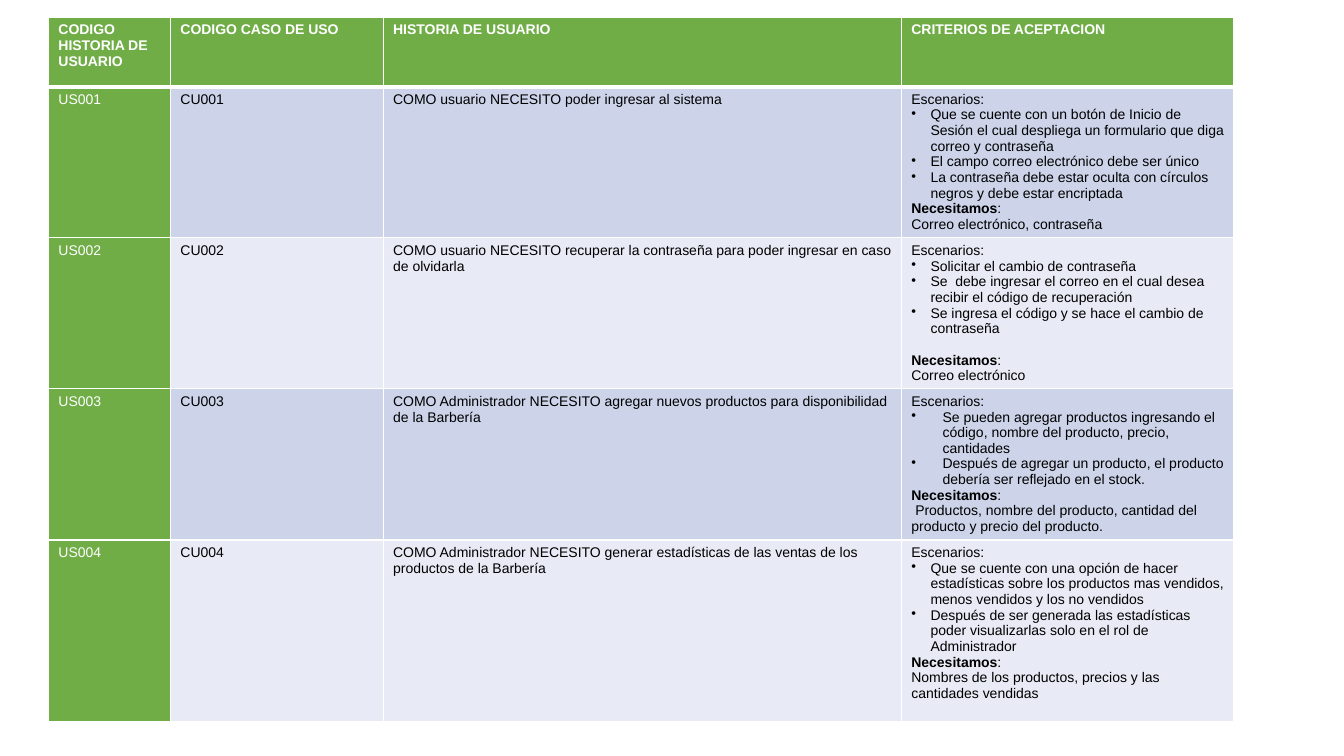
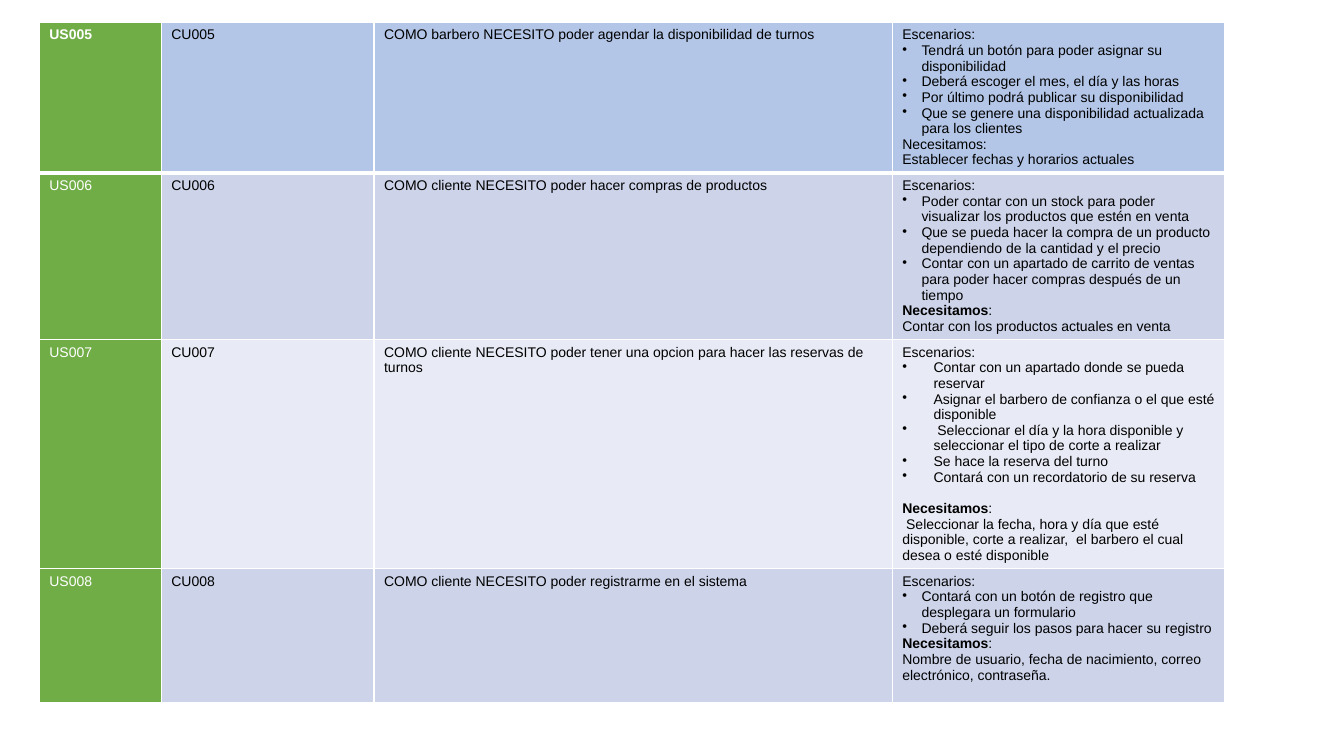
from dataclasses import dataclass
from lxml.etree import SubElement
from pptx import Presentation
from pptx.dml.color import RGBColor
from pptx.oxml import parse_xml
from pptx.oxml.ns import nsdecls, qn
from pptx.util import Inches, Pt

GREEN = RGBColor(0x70, 0xAD, 0x47)
SKY = RGBColor(0xB3, 0xC6, 0xE7)
BLUE = RGBColor(0xCD, 0xD4, 0xEA)
PALE = RGBColor(0xE8, 0xEB, 0xF5)
WHITE = RGBColor(0xFF, 0xFF, 0xFF)
BLACK = RGBColor(0, 0, 0)

FONT, SIZE, LINE = "Arial", Pt(10), Pt(11.2)
THIN, THICK = 1, 3
NARROW, WIDE = 0.19, 0.31
COLS = (1.21, 2.11, 5.14, 3.3)  # relative column widths
HEADS = ("CODIGO HISTORIA DE USUARIO", "CODIGO CASO DE USO",
         "HISTORIA DE USUARIO", "CRITERIOS DE ACEPTACION")


@dataclass
class Story:
    code: str
    goal: str
    steps: tuple
    needs: str
    height: float  # relative row height
    indent: float = NARROW
    gap: bool = False
    strong: bool = True


ACCESS = (
    Story("001", "COMO usuario NECESITO poder ingresar al sistema",
          ("Que se cuente con un botón de Inicio de Sesión el cual despliega "
           "un formulario que diga correo y contraseña",
           "El campo correo electrónico debe ser único",
           "La contraseña debe estar oculta con círculos negros y debe estar "
           "encriptada"),
          "Correo electrónico, contraseña", 1.5),
    Story("002", "COMO usuario NECESITO recuperar la contraseña para poder "
          "ingresar en caso de olvidarla",
          ("Solicitar el cambio de contraseña",
           "Se  debe ingresar el correo en el cual desea recibir el código "
           "de recuperación",
           "Se ingresa el código y se hace el cambio de contraseña"),
          "Correo electrónico", 1.49, gap=True),
    Story("003", "COMO Administrador NECESITO agregar nuevos productos para "
          "disponibilidad de la Barbería",
          ("Se pueden agregar productos ingresando el código, nombre del "
           "producto, precio, cantidades",
           "Después de agregar un producto, el producto debería ser "
           "reflejado en el stock."),
          " Productos, nombre del producto, cantidad del producto y precio "
          "del producto.", 1.5, indent=WIDE),
    Story("004", "COMO Administrador NECESITO generar estadísticas de las "
          "ventas de los productos de la Barbería",
          ("Que se cuente con una opción de hacer estadísticas sobre los "
           "productos mas vendidos, menos vendidos y los no vendidos",
           "Después de ser generada las estadísticas poder visualizarlas "
           "solo en el rol de Administrador"),
          "Nombres de los productos, precios y las cantidades vendidas", 1.8),
)

BOOKING = (
    Story("005", "COMO barbero NECESITO poder agendar la disponibilidad de "
          "turnos",
          ("Tendrá un botón para poder asignar su disponibilidad",
           "Deberá escoger el mes, el día y las horas",
           "Por último podrá publicar su disponibilidad",
           "Que se genere una disponibilidad actualizada para los clientes"),
          "Establecer fechas y horarios actuales", 1.49, strong=False),
    Story("006", "COMO cliente NECESITO poder hacer compras de productos",
          ("Poder contar con un stock para poder visualizar los productos "
           "que estén en venta",
           "Que se pueda hacer la compra de un producto dependiendo de la "
           "cantidad y el precio",
           "Contar con un apartado de carrito de ventas para poder hacer "
           "compras después de un tiempo"),
          "Contar con los productos actuales en venta", 1.65),
    Story("007", "COMO cliente NECESITO poder tener una opcion para hacer "
          "las reservas de turnos",
          ("Contar con un apartado donde se pueda reservar",
           "Asignar el barbero de confianza o el que esté disponible",
           " Seleccionar el día y la hora disponible y seleccionar el tipo "
           "de corte a realizar",
           "Se hace la reserva del turno",
           "Contará con un recordatorio de su reserva"),
          " Seleccionar la fecha, hora y día que esté disponible, corte a "
          "realizar,  el barbero el cual desea o esté disponible",
          2.27, indent=WIDE, gap=True),
    Story("008", "COMO cliente NECESITO poder registrarme en el sistema",
          ("Contará con un botón de registro que desplegara un formulario",
           "Deberá seguir los pasos para hacer su registro"),
          "Nombre de usuario, fecha de nacimiento, correo electrónico, "
          "contraseña.", 1.33),
)


def style(para, color=BLACK, bold=False):
    font = para.font
    font.name, font.size, font.bold = FONT, SIZE, bold
    font.color.rgb = color


def write(cell, text, color=BLACK, bold=False):
    para = cell.text_frame.paragraphs[0]
    para.text = text
    style(para, color, bold)


def append(cell, text=""):
    para = cell.text_frame.add_paragraph()
    para.text = text
    style(para)
    return para


def bullet(para, indent):
    props = para._p.get_or_add_pPr()
    props.set("marL", str(Inches(indent)))
    props.set("indent", str(-Inches(indent)))
    mark = SubElement(props, qn("a:buChar"))
    mark.set("char", "•")
    # Bullet marks come before the default run properties
    props.insert(props.index(props.find(qn("a:defRPr"))), mark)


def paint(cell, color, top, bottom):
    """Fill a cell and rule its four sides in white."""
    cell.fill.solid()
    cell.fill.fore_color.rgb = color
    props = cell._tc.get_or_add_tcPr()
    sides = zip("LRTB", (THIN, THIN, top, bottom))
    for place, (side, width) in enumerate(sides):
        props.insert(place, parse_xml(
            f'<a:ln{side} {nsdecls("a")} w="{Pt(width)}"><a:solidFill>'
            f'<a:srgbClr val="{WHITE}"/></a:solidFill></a:ln{side}>'))


def criteria(cell, story):
    write(cell, "Escenarios:")
    for step in story.steps:
        bullet(append(cell, step), story.indent)
    label = append(cell)
    for text, bold in (("Necesitamos", story.strong), (":", False)):
        run = label.add_run()
        run.text, run.font.bold = text, bold
    if story.gap:
        label.space_before = LINE
    append(cell, story.needs)


def fill_row(cells, story, first):
    write(cells[0], "US" + story.code, WHITE, first)
    write(cells[1], "CU" + story.code)
    write(cells[2], story.goal)
    criteria(cells[3], story)


def grid(slide, box, stories, head=None):
    """Place a story table in box, with an optional heading row."""
    left, top, width, height = box
    parts = [story.height for story in stories]
    if head:
        parts.insert(0, head)
    table = slide.shapes.add_table(len(parts), len(COLS), *box).table
    for column, part in zip(table.columns, COLS):
        column.width = int(width * part / sum(COLS))
    for row, part in zip(table.rows, parts):
        row.height = int(height * part / sum(parts))

    # Text
    rows = [list(row.cells) for row in table.rows]
    if head:
        for cell, text in zip(rows[0], HEADS):
            write(cell, text, WHITE, True)
    body = rows[1:] if head else rows
    for cells, story in zip(body, stories):
        fill_row(cells, story, cells is rows[0])

    # Bands, with a heavy rule below the first row
    for num, cells in enumerate(rows):
        if num == 0:
            band = GREEN if head else SKY
        else:
            band = BLUE if num % 2 else PALE
        for col, cell in enumerate(cells):
            paint(cell, band if col else GREEN,
                  THICK if num == 1 else THIN,
                  THICK if num == 0 else THIN)


def main():
    deck = Presentation()
    deck.slide_width, deck.slide_height = Inches(13.33), Inches(7.5)
    width = Inches(11.76)
    pages = (
        ((Inches(0.48), Inches(0.17), width, Inches(6.98)), ACCESS, 0.69),
        ((Inches(0.39), Inches(0.22), width, Inches(6.74)), BOOKING, None),
    )
    for box, stories, head in pages:
        grid(deck.slides.add_slide(deck.slide_layouts[6]), box, stories, head)
    deck.save("out.pptx")


if __name__ == "__main__":
    main()
